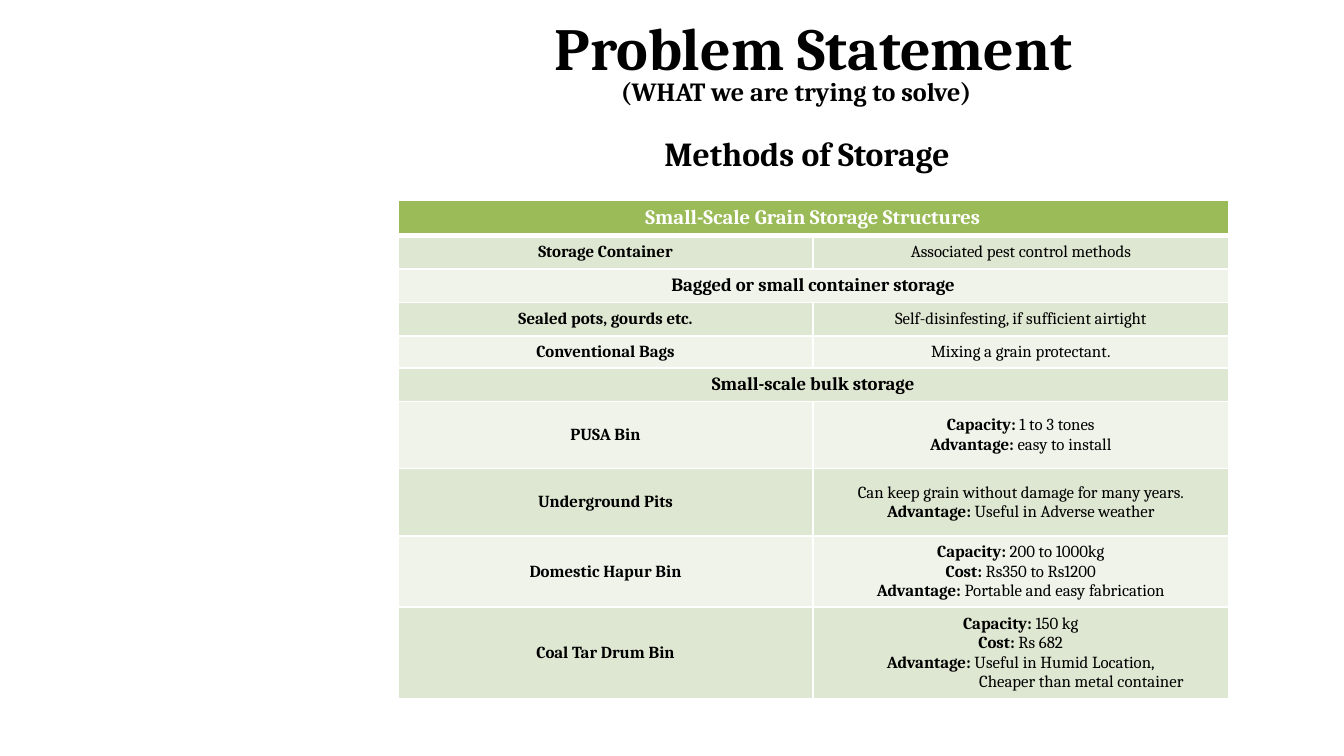
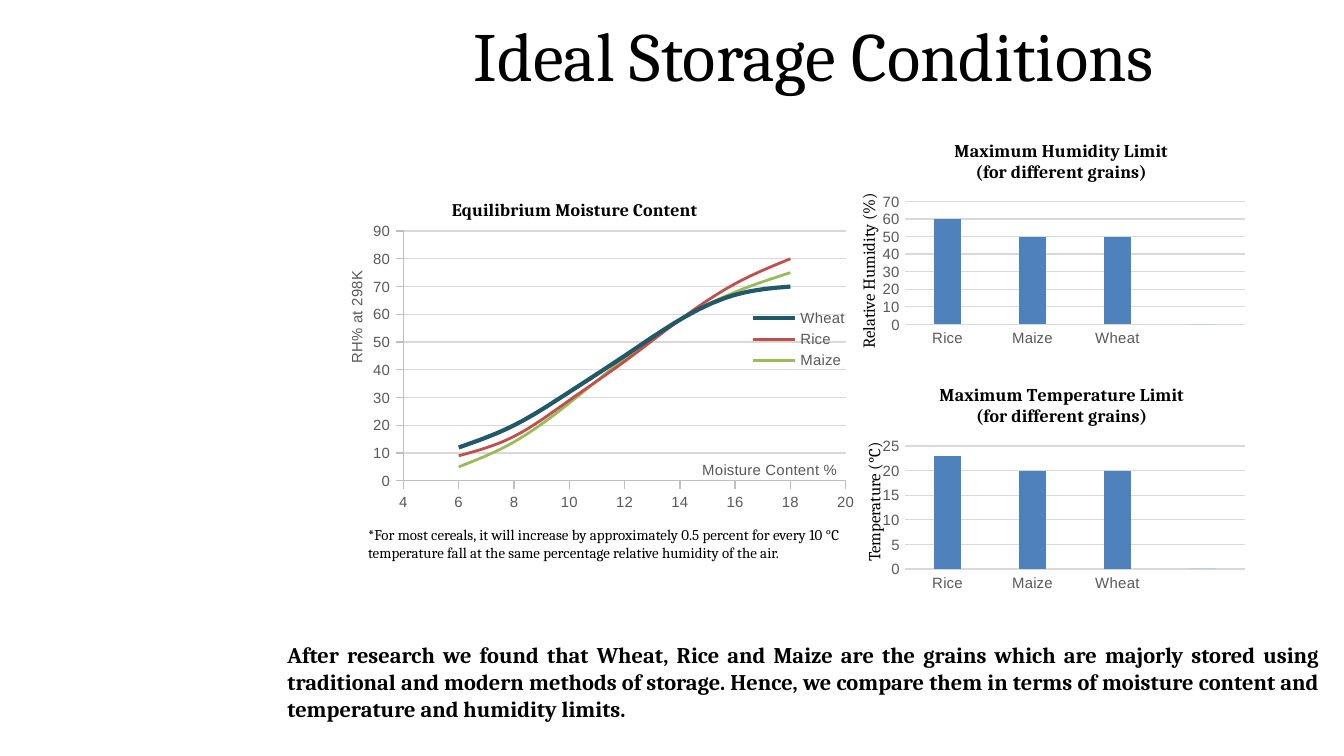
from lxml.etree import SubElement
from pptx import Presentation
from pptx.chart.data import CategoryChartData, XyChartData
from pptx.dml.color import RGBColor
from pptx.enum.chart import XL_CHART_TYPE, XL_LEGEND_POSITION, XL_TICK_MARK
from pptx.enum.text import MSO_ANCHOR, PP_ALIGN
from pptx.oxml.ns import qn
from pptx.util import Inches, Pt

BLACK = RGBColor(0x00, 0x00, 0x00)
WHITE = RGBColor(0xFF, 0xFF, 0xFF)
GREEN = RGBColor(0x9B, 0xBB, 0x59)
BAND_DARK = RGBColor(0xDE, 0xE7, 0xD1)
BAND_LIGHT = RGBColor(0xEF, 0xF3, 0xEA)
TEAL = RGBColor(0x21, 0x59, 0x68)
RED = RGBColor(0xC0, 0x50, 0x4D)
BLUE = RGBColor(0x4F, 0x81, 0xBD)
GREY_TEXT = RGBColor(0x59, 0x59, 0x59)
GREY_AXIS = RGBColor(0xBF, 0xBF, 0xBF)
GREY_GRID = RGBColor(0xD9, 0xD9, 0xD9)

HEADING_FONT = "Cambria"
AXIS_TEXT = {"name": "Arial", "size": Pt(8), "bold": False, "color": GREY_TEXT}
CHART_TITLE = {"name": HEADING_FONT, "size": Pt(9.6), "bold": True, "color": BLACK}

STORAGE_ROWS = [
    # row height, first column, paragraphs of the second column (None: one wide cell)
    (0.24, "Small-Scale Grain Storage Structures", None),
    (0.25, "Storage Container", ["Associated pest control methods"]),
    (0.24, "Bagged or small container storage", None),
    (0.25, "Sealed pots, gourds etc.", ["Self-disinfesting, if sufficient airtight"]),
    (0.24, "Conventional Bags", ["Mixing a grain protectant."]),
    (0.24, "Small-scale bulk storage", None),
    (0.5, "PUSA Bin", ["Capacity: 1 to 3 tones", "Advantage: easy to install"]),
    (0.5, "Underground Pits", ["Can keep grain without damage for many years.",
                               "Advantage: Useful in Adverse weather"]),
    (0.5, "Domestic Hapur Bin", ["Capacity: 200 to 1000kg",
                                 "Cost: Rs350 to Rs1200\n"
                                 "Advantage: Portable and easy fabrication"]),
    (0.5, "Coal Tar Drum Bin", ["Capacity: 150 kg", "Cost: Rs 682",
                                "Advantage: Useful in Humid Location,",
                                "Cheaper than metal container"]),
]

MOISTURE = [6, 8, 10, 12, 14, 16, 18]
HUMIDITY_CURVES = [
    ("Wheat", [12, 20, 32, 45, 58, 67, 70], TEAL, 2.25),
    ("Rice", [9, 16, 29, 43, 58, 71, 80], RED, 1.5),
    ("Maize", [5, 14, 28, 44, 58, 68, 75], GREEN, 1.5),
]
GRAINS = ["Rice", "Maize", "Wheat"]


def set_font(font, **values):
    for name, value in values.items():
        if name == "color":
            font.color.rgb = value
        else:
            setattr(font, name, value)


def set_line(line, color, width=0.75):
    line.color.rgb = color
    line.width = Pt(width)


def add_run(p, text, size, color=BLACK, bold=False):
    r = p.add_run()
    r.text = text
    set_font(r.font, name=HEADING_FONT, size=Pt(size), bold=bold, color=color)


def add_text(s, box, text, size, bold=False, align=PP_ALIGN.CENTER,
             anchor=MSO_ANCHOR.TOP, rotation=0):
    sp = s.shapes.add_textbox(*map(Inches, box))
    sp.rotation = rotation
    tf = sp.text_frame
    tf.word_wrap = True
    tf.vertical_anchor = anchor
    p = tf.paragraphs[0]
    p.alignment = align
    add_run(p, text, size, bold=bold)


def add_title(s, text, size, top, bold=False):
    add_text(s, (2.35, top, 7.41, 0.7), text, size, bold, anchor=MSO_ANCHOR.MIDDLE)


def set_borders(cell, **widths):
    """Draws white borders; widths are points by side letter."""
    tcPr = cell._tc.get_or_add_tcPr()
    for side in "LRTB":
        ln = SubElement(tcPr, qn(f"a:ln{side}"), w=str(Pt(widths.get(side, 1))))
        SubElement(SubElement(ln, qn("a:solidFill")), qn("a:srgbClr"), val=str(WHITE))


def fill_cell(cell, paragraphs, size, color=BLACK, bold=False):
    """Writes centred paragraphs, with the label before a colon in bold."""
    cell.vertical_anchor = MSO_ANCHOR.MIDDLE
    cell.margin_top = cell.margin_bottom = Inches(0.04)
    tf = cell.text_frame
    for i, text in enumerate(paragraphs):
        p = tf.add_paragraph() if i else tf.paragraphs[0]
        if text.startswith("Cheaper"):
            p._p.get_or_add_pPr().set("marL", str(Inches(0.9)))
        p.alignment = PP_ALIGN.CENTER
        for j, line in enumerate(text.split("\n")):
            if j:
                p.add_line_break()
            label, colon, rest = line.partition(":")
            if colon:
                add_run(p, label + colon, size, color, True)
                add_run(p, rest, size, color)
            else:
                add_run(p, line, size, color, bold)


def add_storage_table(s, box):
    left, top, width, height = map(Inches, box)
    table = s.shapes.add_table(len(STORAGE_ROWS), 2, left, top, width, height).table
    table.first_row = table.horz_banding = False
    for col in table.columns:
        col.width = width // 2
    for i, (row_height, name, details) in enumerate(STORAGE_ROWS):
        table.rows[i].height = Inches(row_height)
        header = i == 0
        band = GREEN if header else BAND_DARK if i % 2 else BAND_LIGHT
        cells = table.cell(i, 0), table.cell(i, 1)
        for cell in cells:
            set_borders(cell, B=3 if header else 1, T=3 if i == 1 else 1)
            cell.fill.solid()
            cell.fill.fore_color.rgb = band
        if details is None:
            cells[0].merge(cells[1])
            fill_cell(cells[0], [name], 11 if header else 10,
                      WHITE if header else BLACK, True)
        else:
            fill_cell(cells[0], [name], 9, bold=True)
            fill_cell(cells[1], details, 9)


def set_layout(element, inner=False, **fractions):
    """Places a chart part by fractions x, y, w, h of the chart."""
    layout = element.find(qn("c:layout"))
    if layout is None:
        layout = element.makeelement(qn("c:layout"))
        overlay = element.find(qn("c:overlay"))
        if overlay is None:
            element.insert(0, layout)
        else:
            overlay.addprevious(layout)
    for child in list(layout):
        layout.remove(child)
    manual = SubElement(layout, qn("c:manualLayout"))
    if inner:
        SubElement(manual, qn("c:layoutTarget"), val="inner")
    for key in "xy":
        SubElement(manual, qn(f"c:{key}Mode"), val="edge")
    for key, value in fractions.items():
        SubElement(manual, qn(f"c:{key}"), val=str(value))


def set_chart_text(title, text, x, y, fmt):
    tf = title.text_frame
    tf.text = text
    for p in tf.paragraphs:
        for r in p.runs:
            set_font(r.font, **fmt)
    set_layout(title._element, x=x, y=y)


def format_axis(axis, tick, line_color, low=None, high=None, step=None):
    values = {"major_tick_mark": tick, "minor_tick_mark": XL_TICK_MARK.NONE,
              "has_major_gridlines": False}
    if step:
        values.update(minimum_scale=low, maximum_scale=high, major_unit=step)
    for name, value in values.items():
        setattr(axis, name, value)
    set_font(axis.tick_labels.font, **AXIS_TEXT)
    if line_color is None:
        axis.format.line.fill.background()
    else:
        set_line(axis.format.line, line_color)


def add_base_chart(s, box, kind, data, title, title_x, title_y, plot):
    chart = s.shapes.add_chart(kind, *map(Inches, box), data).chart
    set_font(chart.font, name="Arial", size=Pt(8), color=BLACK)
    chart.has_legend = False
    chart.has_title = True
    set_chart_text(chart.chart_title, title, title_x, title_y, CHART_TITLE)
    chart.plots[0].vary_by_categories = False
    set_layout(chart._chartSpace.chart.plotArea, True, **dict(zip("xywh", plot)))
    return chart


def add_gridlines(axis):
    axis.has_major_gridlines = True
    set_line(axis.major_gridlines.format.line, GREY_GRID)


def add_moisture_chart(s, box):
    data = XyChartData()
    for name, values, _, _ in HUMIDITY_CURVES:
        series = data.add_series(name)
        for x, y in zip(MOISTURE, values):
            series.add_data_point(x, y)
    chart = add_base_chart(s, box, XL_CHART_TYPE.XY_SCATTER_SMOOTH_NO_MARKERS, data,
                           "Equilibrium Moisture Content", 0.21, 0.07,
                           (0.124, 0.179, 0.846, 0.74))
    for series, (_, _, color, width) in zip(chart.plots[0].series, HUMIDITY_CURVES):
        series._element.get_or_add_smooth().val = True
        set_line(series.format.line, color, width)
    x_axis, y_axis = chart.category_axis, chart.value_axis
    format_axis(x_axis, XL_TICK_MARK.OUTSIDE, GREY_AXIS, 4, 20, 2)
    format_axis(y_axis, XL_TICK_MARK.OUTSIDE, GREY_AXIS, 0, 90, 10)
    add_gridlines(y_axis)
    set_chart_text(x_axis.axis_title, "Moisture Content %", 0.69, 0.85, AXIS_TEXT)
    set_chart_text(y_axis.axis_title, "RH% at 298K", 0.01, 0.29, AXIS_TEXT)
    y_axis.axis_title.text_frame._bodyPr.set("rot", "-5400000")
    chart.has_legend = True
    chart.legend.position = XL_LEGEND_POSITION.RIGHT
    chart.legend.include_in_layout = False
    set_font(chart.legend.font, **AXIS_TEXT)
    set_layout(chart.legend._element, x=0.78, y=0.4, w=0.2, h=0.2)


def add_limit_chart(s, box, title, title_x, values, high, step):
    data = CategoryChartData()
    data.categories = GRAINS
    data.add_series("Series 1", values)
    chart = add_base_chart(s, box, XL_CHART_TYPE.COLUMN_CLUSTERED, data,
                           f"{title}\n(for different grains)", title_x, 0.05,
                           (0.08, 0.345, 0.9, 0.535))
    plot = chart.plots[0]
    plot.gap_width, plot.overlap = 219, -27
    fill = plot.series[0].format.fill
    fill.solid()
    fill.fore_color.rgb = BLUE
    format_axis(chart.category_axis, XL_TICK_MARK.NONE, GREY_GRID)
    format_axis(chart.value_axis, XL_TICK_MARK.NONE, None, 0, high, step)
    add_gridlines(chart.value_axis)


def add_problem_slide(s):
    add_text(s, (3.56, 0.79, 4.89, 0.7), "Methods of Storage", 18, True,
             anchor=MSO_ANCHOR.MIDDLE)
    add_title(s, "Problem Statement", 32, 0, True)
    add_text(s, (3.89, 0.51, 4.07, 0.29), "(WHAT we are trying to solve)", 14, True)
    add_storage_table(s, (2.96, 1.49, 6.18, 3.46))


def add_conditions_slide(s):
    add_moisture_chart(s, (2.52, 1.27, 3.89, 2.53))
    add_title(s, "Ideal Storage Conditions", 37, 0.05)
    add_text(s, (2.64, 3.86, 3.77, 0.5),
             "*For most cereals, it will increase by approximately 0.5 percent for every "
             "10 °C temperature fall at the same percentage relative humidity of the air.",
             8, align=PP_ALIGN.LEFT)
    add_text(s, (2.04, 4.72, 7.88, 0.71),
             "After research we found that Wheat, Rice and Maize are the grains which are "
             "majorly stored using traditional and modern methods of storage. Hence, we "
             "compare them in terms of moisture content and temperature and humidity limits.",
             12, True, PP_ALIGN.JUSTIFY)
    add_limit_chart(s, (6.51, 0.91, 2.81, 1.71), "Maximum Humidity Limit", 0.2,
                    [60, 50, 50, 0], 70, 10)
    add_limit_chart(s, (6.51, 2.73, 2.81, 1.71), "Maximum Temperature Limit", 0.16,
                    [23, 20, 20, 0], 25, 5)
    add_text(s, (5.8, 3.61, 1.4, 0.25), "Temperature (°C)", 9, rotation=270)
    add_text(s, (5.66, 1.89, 1.6, 0.25), "Relative Humidity (%)", 9, rotation=270)


def main():
    prs = Presentation()
    prs.slide_width = Inches(10)
    prs.slide_height = prs.slide_width * 9 // 16
    for build in (add_problem_slide, add_conditions_slide):
        build(prs.slides.add_slide(prs.slide_layouts[6]))
    prs.save("out.pptx")


if __name__ == "__main__":
    main()
